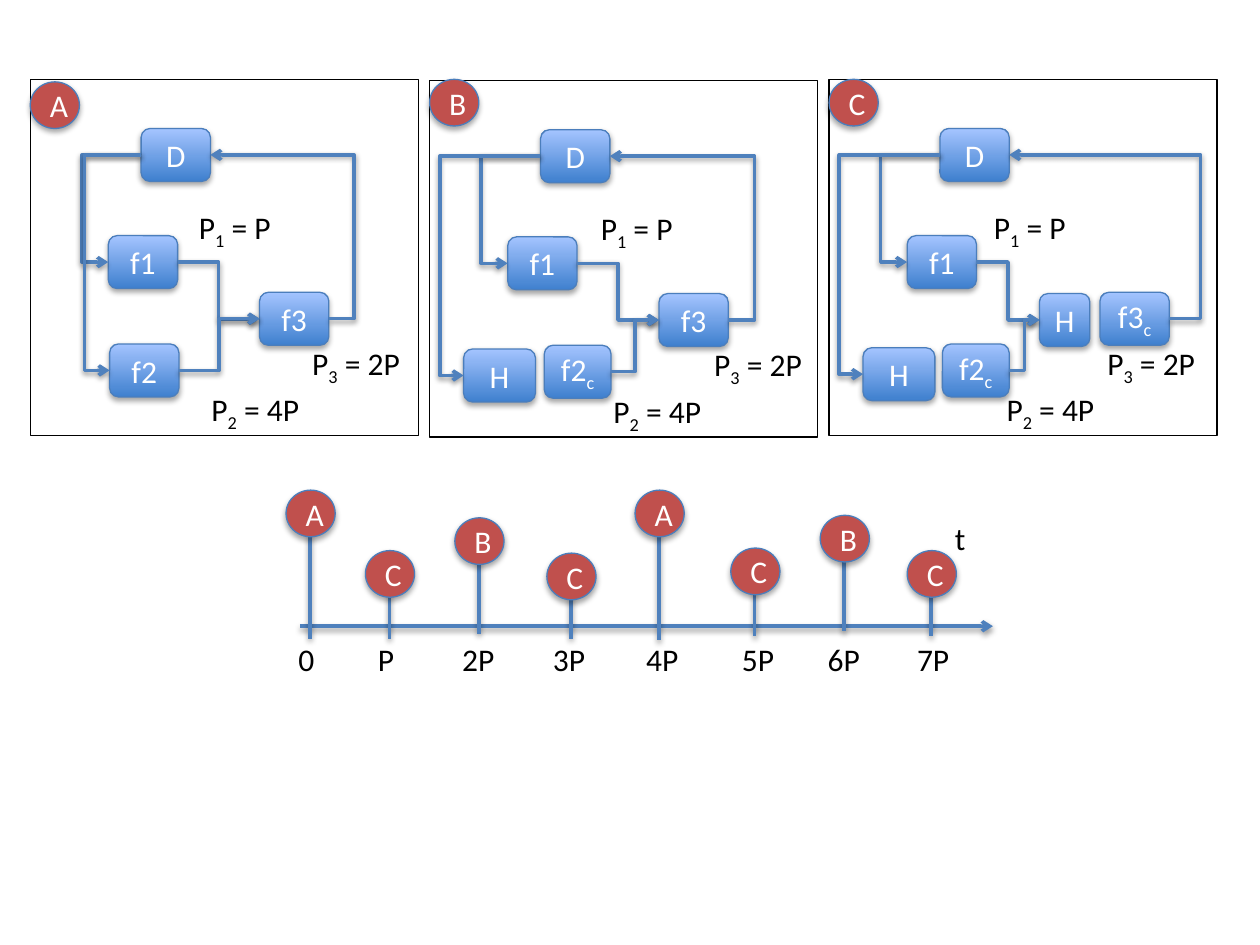
from lxml.etree import SubElement
from pptx import Presentation
from pptx.dml.color import RGBColor
from pptx.enum.shapes import MSO_CONNECTOR, MSO_SHAPE
from pptx.enum.text import MSO_ANCHOR, MSO_AUTO_SIZE, PP_ALIGN
from pptx.oxml.ns import qn
from pptx.util import Inches, Pt

BLACK = RGBColor(0x00, 0x00, 0x00)
WHITE = RGBColor(0xFF, 0xFF, 0xFF)
RED = RGBColor(0xC0, 0x50, 0x4D)
BLUE = RGBColor(0x4F, 0x81, 0xBD)
EDGE = RGBColor(0x4B, 0x7E, 0xBC)
BLUE_LOW = RGBColor(0x3F, 0x80, 0xCE)
BLUE_HIGH = RGBColor(0xA4, 0xC4, 0xFF)

NODE_W, NODE_H = 0.55, 0.42
BADGE_W, BADGE_H = 0.39, 0.37
AXIS_Y = 4.97


class Diagram:
    """Style and current slide; theme shadows stay on nodes, badges and links."""

    FONT = {"name": "Calibri", "size": Pt(18)}
    FRAME = {"word_wrap": True, "vertical_anchor": MSO_ANCHOR.MIDDLE}
    LABEL = {"word_wrap": True, "auto_size": MSO_AUTO_SIZE.SHAPE_TO_FIT_TEXT}

    def __init__(self, slide):
        self.s = slide

    def put_text(self, tf, parts, color, props, align=None):
        """Fill a text frame; every second part is a subscript."""
        for key, value in props.items():
            setattr(tf, key, value)
        p = tf.paragraphs[0]
        p.alignment = align
        for i, part in enumerate(parts):
            r = p.add_run()
            r.text = part
            for key, value in self.FONT.items():
                setattr(r.font, key, value)
            r.font.color.rgb = color
            if i % 2:
                r._r.get_or_add_rPr().set("baseline", "-25000")

    def shape(self, kind, x, y, w, h, line):
        sp = self.s.shapes.add_shape(kind, Inches(x), Inches(y), Inches(w), Inches(h))
        sp.line.color.rgb = line
        sp.line.width = Pt(0.75)
        return sp

    def frame(self, x, y):
        sp = self.shape(MSO_SHAPE.RECTANGLE, x, y, 3.08, 2.83, BLACK)
        sp.fill.background()
        sp.shadow.inherit = False

    def node(self, x, y, *parts, w=NODE_W):
        sp = self.shape(MSO_SHAPE.ROUNDED_RECTANGLE, x, y, w, NODE_H, EDGE)
        sp.fill.gradient()
        sp.fill.gradient_angle = 90
        for stop, color, pos in zip(sp.fill.gradient_stops, (BLUE_LOW, BLUE_HIGH), (0, 1)):
            stop.color.rgb = color
            stop.position = pos
        self.put_text(sp.text_frame, parts, WHITE, self.FRAME, PP_ALIGN.CENTER)
        return sp

    def badge(self, x, y, letter):
        sp = self.shape(MSO_SHAPE.OVAL, x, y, BADGE_W, BADGE_H, EDGE)
        sp.fill.solid()
        sp.fill.fore_color.rgb = RED
        self.put_text(sp.text_frame, [letter], WHITE, self.FRAME, PP_ALIGN.CENTER)

    def label(self, x, y, w, *parts):
        tb = self.s.shapes.add_textbox(Inches(x), Inches(y), Inches(w), Inches(0.4))
        self.put_text(tb.text_frame, parts, BLACK, self.LABEL)

    def line(self, kind, x1, y1, x2, y2, arrow=True):
        cx = self.s.shapes.add_connector(kind, x1, y1, x2, y2)
        cx.line.color.rgb = BLUE
        cx.line.width = Pt(2)
        if arrow:
            SubElement(cx.line._get_or_add_ln(), qn("a:tailEnd"), type="arrow")
        return cx

    def straight(self, x1, y1, x2, y2, arrow=False):
        self.line(MSO_CONNECTOR.STRAIGHT, Inches(x1), Inches(y1), Inches(x2), Inches(y2), arrow)

    def link(self, a, a_side, b, b_side, via=None):
        """Elbow from side to side (0 left, 1 right), bending at x = via or halfway."""
        x1, x2 = a.left + a_side * a.width, b.left + b_side * b.width
        cx = self.line(MSO_CONNECTOR.ELBOW, x1, a.top + a.height // 2,
                       x2, b.top + b.height // 2)
        if via is not None:
            bend = round((Inches(via) - x1) / (x2 - x1) * 100000)
            geom = cx._element.spPr.find(qn("a:prstGeom"))
            SubElement(geom.get_or_add_avLst(), qn("a:gd"), name="adj1", fmla=f"val {bend}")

    def panel(self, x, y, letter, badge_dy, label_dx, f2_x, f3_x, back_x, down_x,
              f2_held=False, f3_held=False):
        """One schedule graph; a held stage gets an H node in front of it."""
        self.frame(x, y)
        # Nodes
        d = self.node(x + 0.88, y + 0.39, "D")
        f1 = self.node(x + 0.62, y + 1.24, "f1")
        f3 = self.node(x + f3_x, y + 1.69, "f3", *["c"] * f3_held)
        f2 = self.node(x + f2_x, y + 2.1, "f2", *["c"] * f2_held,
                       w=0.53 if f2_held else NODE_W)
        in2 = self.node(x + 0.27, y + 2.13, "H", w=0.57) if f2_held else f2
        in3 = self.node(x + 1.67, y + 1.7, "H", w=0.4) if f3_held else f3
        # Links
        self.link(f1, 1, in3, 0)
        self.link(f2, 1, in3, 0)
        self.link(d, 0, f1, 0, x + 0.41)
        self.link(d, 0, in2, 0, x + down_x)
        self.link(f3, 1, d, 1, x + back_x)
        # Badge and periods
        self.badge(x, y + badge_dy, letter)
        lx = x + label_dx
        self.label(lx + 1.24, y + 0.97, 0.95, "P", "1", " = P")
        self.label(lx + 1.34, y + 2.42, 1.11, "P", "2", " = 4P")
        self.label(lx + 2.14, y + 2.05, 0.97, "P", "3", " = 2P")

    def tick(self, letter, x, badge_y, bottom, label_x, text):
        self.straight(x, badge_y + BADGE_H / 2, x, bottom)
        self.badge(x - 0.19, badge_y, letter)
        self.label(label_x, 5.03, 0.3 if len(text) == 1 else 0.46, text)


def main():
    prs = Presentation()
    prs.slide_width, prs.slide_height = Inches(10), Inches(7.5)
    dg = Diagram(prs.slides.add_slide(prs.slide_layouts[6]))

    # Three schedule graphs
    dg.panel(0.24, 0.63, "A", 0.02, 0, 0.63, 1.82, 2.57, 0.43)
    dg.panel(3.41, 0.64, "B", -0.01, 0.02, 0.91, 1.82, 2.58, 0.08, f2_held=True)
    dg.panel(6.58, 0.63, "C", 0, -0.03, 0.9, 2.15, 2.95, 0.08, f2_held=True, f3_held=True)

    # Timeline
    dg.straight(2.38, AXIS_Y, 7.88, AXIS_Y, arrow=True)
    dg.label(7.48, 4.07, 0.29, "t")
    for row in [
        ("A", 2.46, 3.89, 5.07, 2.27, "0"),
        ("C", 3.09, 4.37, 5.07, 2.9, "P"),
        ("B", 3.8, 4.11, 5.03, 3.57, "2P"),
        ("C", 4.53, 4.39, 5.07, 4.29, "3P"),
        ("A", 5.23, 3.89, 5.08, 5.03, "4P"),
        ("C", 5.99, 4.35, 5.05, 5.79, "5P"),
        ("B", 6.7, 4.09, 5.01, 6.47, "6P"),
        ("C", 7.39, 4.37, 5.05, 7.18, "7P"),
    ]:
        dg.tick(*row)

    prs.save("out.pptx")


if __name__ == "__main__":
    main()
